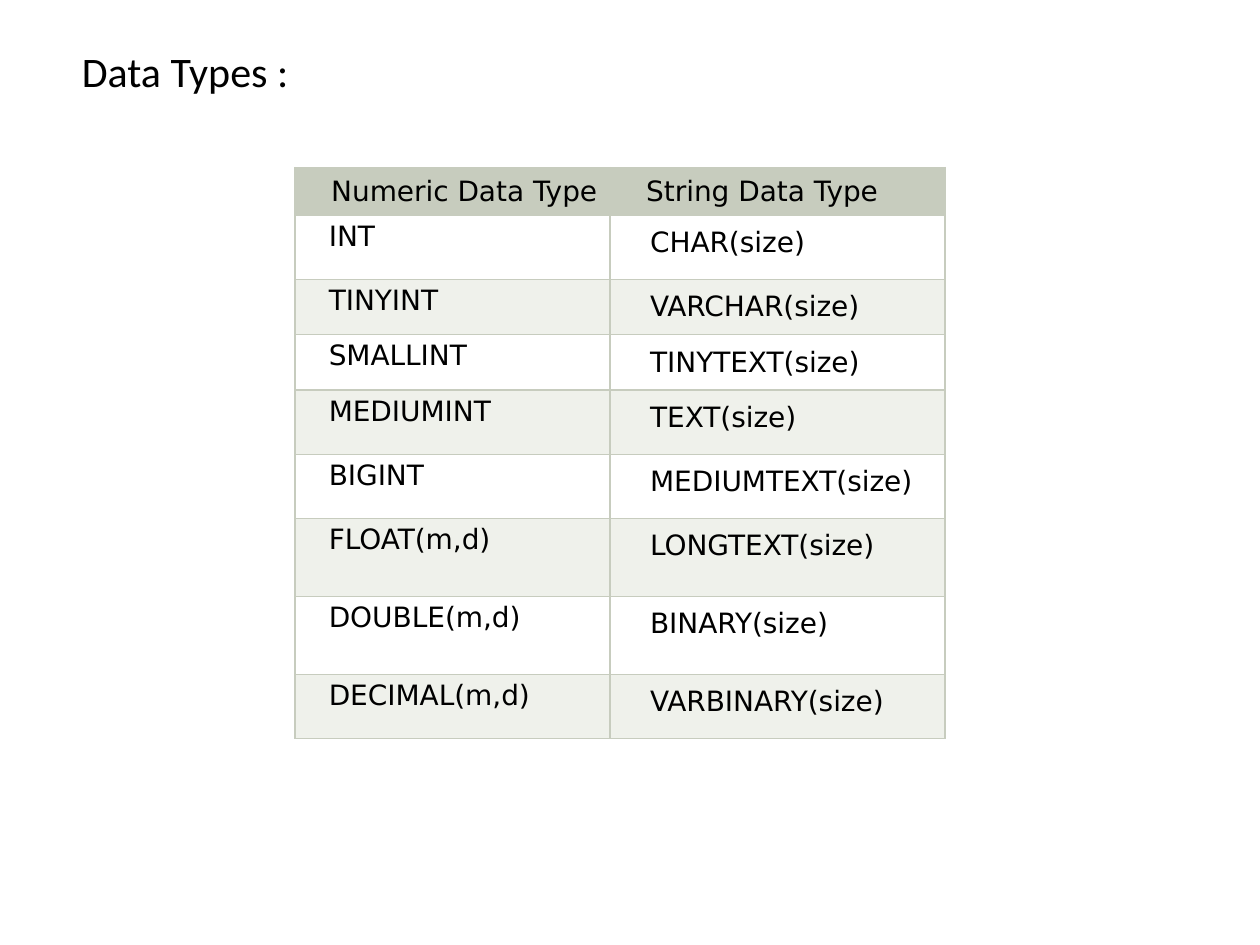
from pptx import Presentation
from pptx.dml.color import RGBColor
from pptx.enum.text import MSO_ANCHOR, MSO_AUTO_SIZE, PP_ALIGN
from pptx.oxml import parse_xml
from pptx.oxml.ns import nsdecls
from pptx.util import Pt

COLORS = {"text": "000000", "header": "C7CCBE", "border": "C7CCBE",
          "plain": "FFFFFF", "band": "EFF1EB"}
DATA_TYPES = [
    ("Numeric Data Type", "String Data Type"),
    ("INT", "CHAR(size)"),
    ("TINYINT", "VARCHAR(size)"),
    ("SMALLINT", "TINYTEXT(size)"),
    ("MEDIUMINT", "TEXT(size)"),
    ("BIGINT", "MEDIUMTEXT(size)"),
    ("FLOAT(m,d)", "LONGTEXT(size)"),
    ("DOUBLE(m,d)", "BINARY(size)"),
    ("DECIMAL(m,d)", "VARBINARY(size)"),
]
COLUMN_WIDTHS = [180, 191.5]
ROW_HEIGHTS = [24.5, 36.7, 28.8, 28.8, 36.7, 36.7, 44.6, 44.6, 36.7]
HEADER_MARGIN = 4.3
BODY_MARGINS = [2.9, 6.5]
PARAGRAPH_FORMAT = {"alignment": PP_ALIGN.JUSTIFY, "line_spacing": Pt(18.6),
                    "space_after": Pt(10)}


def set_font(font, name, size):
    font.name = name
    font.size = Pt(size)
    font.color.rgb = RGBColor.from_string(COLORS["text"])


def add_borders(cell):
    properties = cell._tc.get_or_add_tcPr()
    for position, side in enumerate(["lnL", "lnR", "lnT", "lnB"]):
        properties.insert(position, parse_xml(
            f'<a:{side} {nsdecls("a")} w="{Pt(1)}"><a:solidFill>'
            f'<a:srgbClr val="{COLORS["border"]}"/></a:solidFill></a:{side}>'))


presentation = Presentation()
presentation.slide_width = Pt(720)
presentation.slide_height = Pt(540)
slide = presentation.slides.add_slide(presentation.slide_layouts[5])

# Title
title = slide.shapes.title
title.left, title.top, title.width, title.height = Pt(39.6), Pt(22.3), Pt(139), Pt(36)
title_frame = title.text_frame
title_frame.text = "Data Types : "
title_frame.word_wrap = False
title_frame.auto_size = MSO_AUTO_SIZE.NONE
title_frame.vertical_anchor = MSO_ANCHOR.TOP
title_paragraph = title_frame.paragraphs[0]
title_paragraph.alignment = PP_ALIGN.LEFT
set_font(title_paragraph.runs[0].font, "Calibri", 24)

# Table of data types
table = slide.shapes.add_table(
    len(DATA_TYPES), len(COLUMN_WIDTHS), Pt(168.5), Pt(95.8),
    Pt(sum(COLUMN_WIDTHS)), Pt(sum(ROW_HEIGHTS))).table
for column, width in zip(table.columns, COLUMN_WIDTHS):
    column.width = Pt(width)
for row, height in zip(table.rows, ROW_HEIGHTS):
    row.height = Pt(height)

# Cells: header row, then alternating plain and banded rows
for row_index, names in enumerate(DATA_TYPES):
    is_header = row_index == 0
    fill_name = "header" if is_header else "plain" if row_index % 2 else "band"
    for column_index, name in enumerate(names):
        cell = table.cell(row_index, column_index)
        cell.text = name
        cell.fill.solid()
        cell.fill.fore_color.rgb = RGBColor.from_string(COLORS[fill_name])
        margin = HEADER_MARGIN if is_header else BODY_MARGINS[column_index]
        for side in ["left", "right", "top", "bottom"]:
            setattr(cell, f"margin_{side}", Pt(margin))
        add_borders(cell)
        paragraph = cell.text_frame.paragraphs[0]
        for attribute, value in PARAGRAPH_FORMAT.items():
            setattr(paragraph, attribute, value)
        paragraph._p.get_or_add_pPr().set("marL", str(Pt(16.5)))
        font = paragraph.runs[0].font
        set_font(font, "DejaVu Sans", 16)
        font.bold = False

presentation.save("out.pptx")
